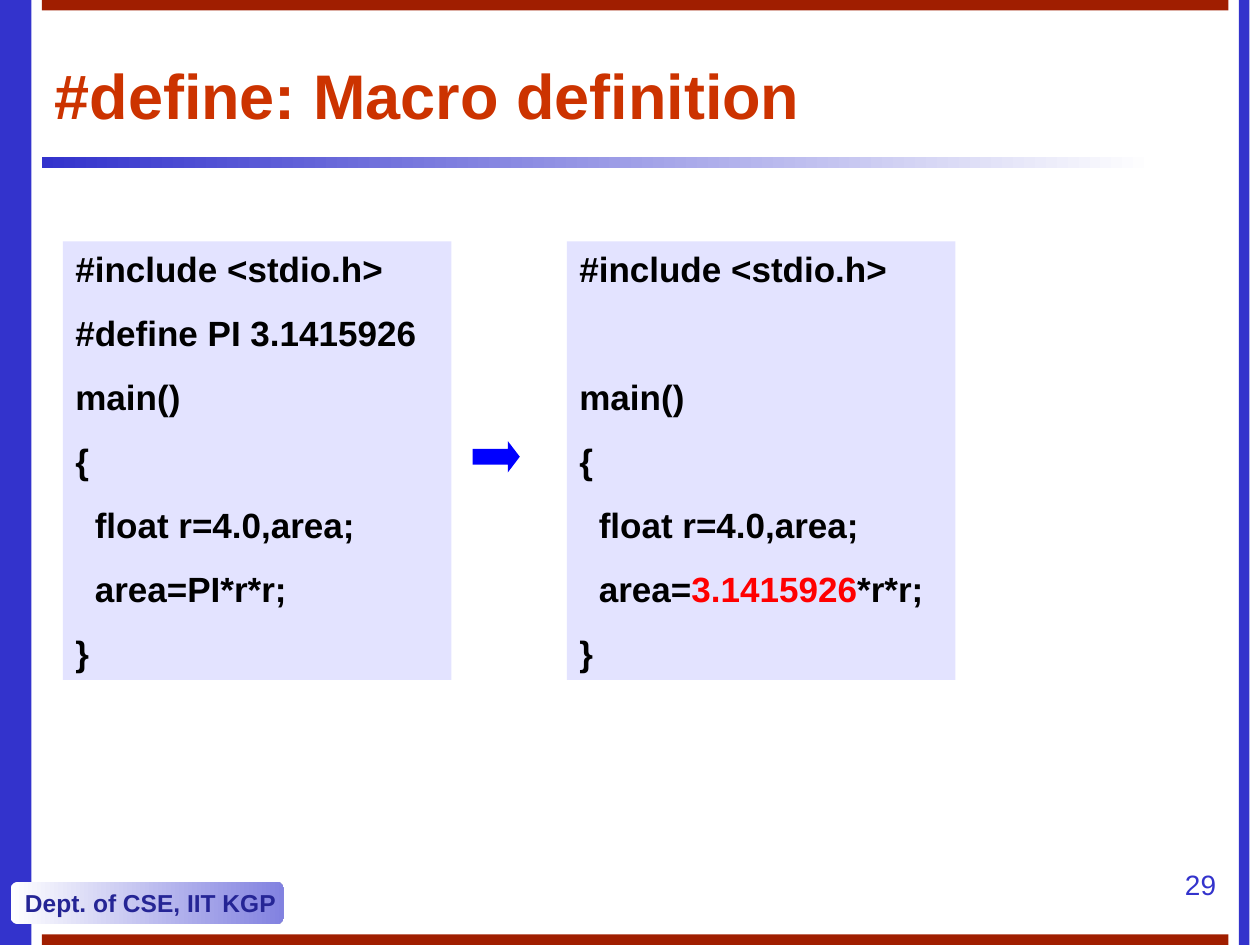
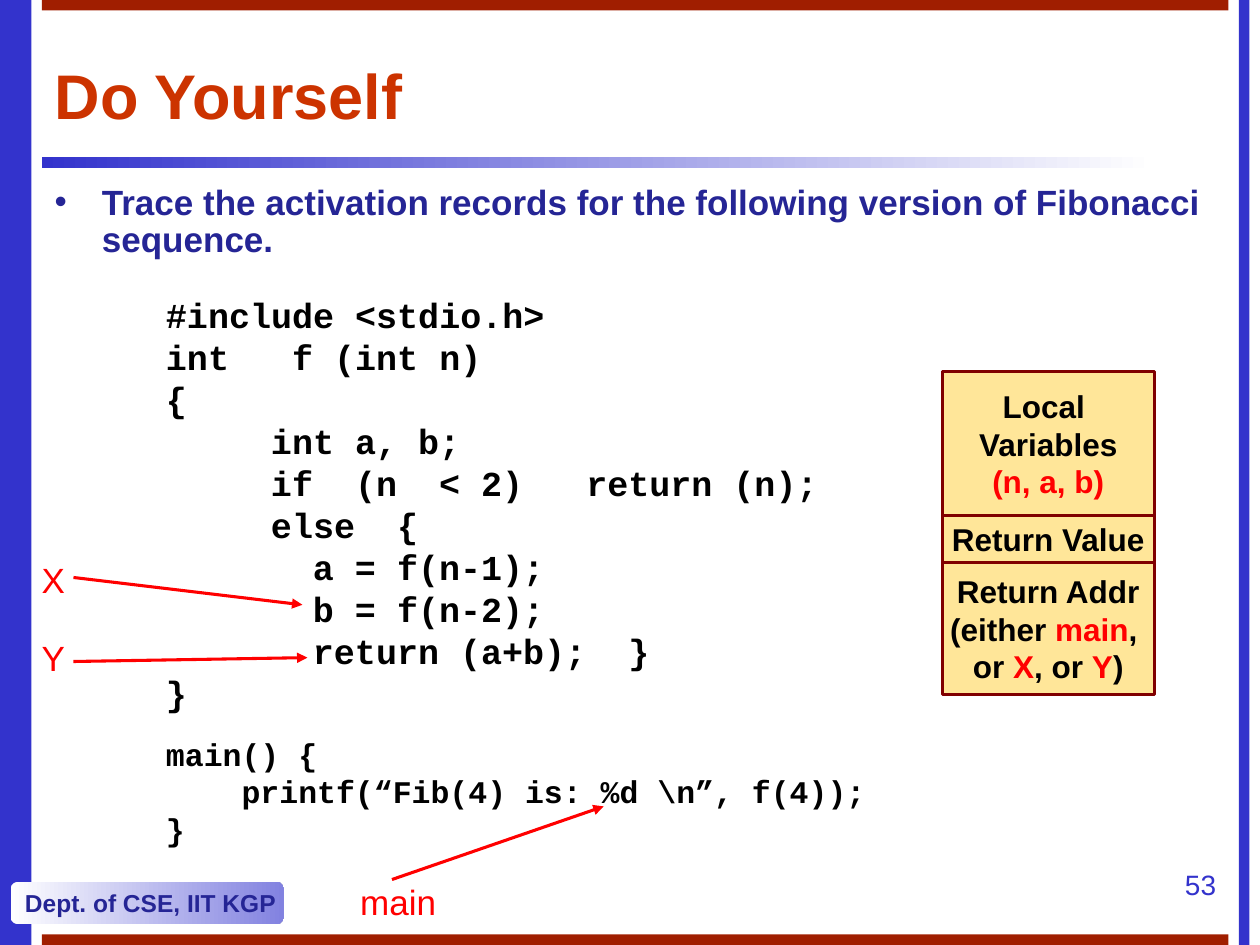
from dataclasses import dataclass

from lxml import etree
from pptx import Presentation
from pptx.dml.color import RGBColor
from pptx.enum import shapes, text
from pptx.oxml import ns
from pptx.util import Pt

BLUE, NAVY, PALE_BLUE, LILAC = "3333CC", "252595", "8282E0", "E3E3FF"
BRICK, ORANGE, MAROON, SAND = "A01E00", "CC3300", "800000", "FFE699"
BLACK, WHITE, RED, ARROW_BLUE = "000000", "FFFFFF", "FF0000", "0000FF"
SANS, MONO = "Arial", "Courier New"
WIDTH, HEIGHT, BAND = 720, 540, 6
LEFT, CONTENT_WIDTH = 24, 678
RECT = shapes.MSO_SHAPE.RECTANGLE
CENTER, RIGHT = text.PP_ALIGN.CENTER, text.PP_ALIGN.RIGHT
MIDDLE, TOP = text.MSO_ANCHOR.MIDDLE, text.MSO_ANCHOR.TOP


@dataclass
class Style:
    size: float
    color: str = BLACK
    bold: bool = True
    font: str = SANS


@dataclass
class Line:
    runs: list
    indent: float = 0
    before: float = 0
    style: Style = None


def rgb(color):
    return RGBColor.from_string(color)


def write(frame, lines, style, align=None, anchor=TOP, wrap=True):
    frame.word_wrap = wrap
    frame.auto_size = text.MSO_AUTO_SIZE.NONE
    frame.vertical_anchor = anchor
    for number, line in enumerate(lines):
        paragraph = frame.paragraphs[0] if number == 0 else frame.add_paragraph()
        paragraph.alignment = align
        if line.before:
            paragraph.space_before = Pt(line.before)
        if line.indent:
            paragraph._p.get_or_add_pPr().set("marL", str(Pt(line.indent)))
        look = line.style or style
        for words, color in line.runs:
            run = paragraph.add_run()
            run.text = words
            run.font.name = look.font
            run.font.size = Pt(look.size)
            run.font.bold = look.bold
            run.font.color.rgb = rgb(color or look.color)


def plain(words, indent=0, before=0, style=None):
    return Line([(words, None)], indent, before, style)


def add_panel(slide, box, fill, kind=RECT, border=None):
    panel = slide.shapes.add_shape(kind, *map(Pt, box))
    panel.shadow.inherit = False
    if isinstance(fill, tuple):
        panel.fill.gradient()
        panel.fill.gradient_angle = 0
        for stop, color in zip(panel.fill.gradient_stops, fill):
            stop.color.rgb = rgb(color)
    else:
        panel.fill.solid()
        panel.fill.fore_color.rgb = rgb(fill)
    if border:
        panel.line.color.rgb = rgb(border)
        panel.line.width = Pt(1.75)
    else:
        panel.line.fill.background()
    return panel


def add_label(slide, box, lines, style, align=None):
    label = slide.shapes.add_textbox(*map(Pt, box))
    write(label.text_frame, lines, style, align)


def add_pointer(slide, start, end):
    pointer = slide.shapes.add_connector(
        shapes.MSO_CONNECTOR.STRAIGHT, *map(Pt, start + end))
    pointer.line.color.rgb = rgb(RED)
    pointer.line.width = Pt(1.75)
    etree.SubElement(pointer.line._get_or_add_ln(), ns.qn("a:tailEnd"), type="triangle")
    etree.SubElement(pointer._element.spPr, ns.qn("a:effectLst"))


def fill_placeholder(placeholder, box, words, style, anchor):
    placeholder.left, placeholder.top, placeholder.width, placeholder.height = map(Pt, box)
    write(placeholder.text_frame, [plain(words)], style, text.PP_ALIGN.LEFT, anchor)
    return placeholder.text_frame.paragraphs[0]


def start_slide(deck, layout, title, number):
    slide = deck.slides.add_slide(deck.slide_layouts[layout])
    add_panel(slide, (0, 0, 18, HEIGHT), BLUE)
    add_panel(slide, (708, 0, BAND, HEIGHT), BLUE)
    for top in (0, HEIGHT - BAND):
        add_panel(slide, (LEFT, top, CONTENT_WIDTH, BAND), BRICK)
    add_panel(slide, (LEFT, 90, 636, BAND), (BLUE, WHITE))
    department = add_panel(slide, (6, 504, 156, 24), (WHITE, PALE_BLUE),
                           shapes.MSO_SHAPE.ROUNDED_RECTANGLE)
    write(department.text_frame, [plain("Dept. of CSE, IIT KGP")], Style(14, NAVY),
          text.PP_ALIGN.LEFT, MIDDLE, False)
    add_label(slide, (660, 492, 42, 36), [plain(number)], Style(16, BLUE, False), RIGHT)
    fill_placeholder(slide.shapes.title, (LEFT, 24, CONTENT_WIDTH, 60), title,
                     Style(36, ORANGE), MIDDLE)
    return slide


def add_listing(slide, left, lines):
    listing = add_panel(slide, (left, 138, 222, 250.5), LILAC)
    write(listing.text_frame, lines, Style(20), text.PP_ALIGN.LEFT)


def build_macro_slide(deck):
    slide = start_slide(deck, 5, "#define: Macro definition", "29")
    gap, step = 12.5, 11.1
    include = plain("#include <stdio.h>", before=gap)
    opening = plain("{", before=gap)
    declaration = plain("float r=4.0,area;", step, gap)
    closing = plain("}", before=gap)
    add_listing(slide, 36, [
        include, plain("#define PI 3.1415926", before=gap), plain("main()", before=gap),
        opening, declaration, plain("area=PI*r*r;", step, gap), closing])
    expanded = Line([("area=", None), ("3.1415926", RED), ("*r*r;", None)], step, gap)
    add_listing(slide, 324, [
        include, plain("main()", before=2 * gap + 24),
        opening, declaration, expanded, closing])
    arrow = add_panel(slide, (270, 252, 27, 18), ARROW_BLUE, shapes.MSO_SHAPE.RIGHT_ARROW)
    arrow.adjustments[1] = 0.38


def add_activation_record(slide):
    fields = [
        (82, [plain("Local "), plain("Variables"), Line([("(n, a, b)", RED)])]),
        (27, [plain("Return Value")]),
        (75.5, [plain("Return Addr"),
                Line([("(either ", None), ("main", RED), (", ", None)]),
                Line([("or ", None), ("X", RED), (", or ", None), ("Y", RED), (")", None)])]),
    ]
    top = 212.4
    for height, lines in fields:
        field = add_panel(slide, (538.5, top, 121, height), SAND, border=MAROON)
        write(field.text_frame, lines, Style(18), CENTER, MIDDLE, False)
        top += height


def build_trace_slide(deck):
    slide = start_slide(deck, 1, "Do Yourself", "53")
    task = fill_placeholder(
        slide.placeholders[1], (LEFT, 102, CONTENT_WIDTH, 66),
        "Trace the activation records for the following version of Fibonacci sequence.",
        Style(20, NAVY), TOP)
    task.line_spacing = 0.9
    task.space_before = Pt(5)

    code, small = Style(20, font=MONO), Style(18, font=MONO)
    body, nested = 60, 84
    add_label(slide, (87.8, 164.2, 420.5, 324), [
        plain("#include <stdio.h>"),
        plain("int   f (int n)"),
        plain("{"),
        plain("int a, b;", body),
        plain("if  (n  < 2)   return (n);", body),
        plain("else  {", body),
        plain("a = f(n-1);", nested),
        plain("b = f(n-2);", nested),
        plain("return (a+b);  }", nested),
        plain("}"),
        plain("main() {", before=12, style=small),
        plain("printf(“Fib(4) is: %d \\n”, f(4));", 43.2, style=small),
        plain("}", style=small),
    ], code)
    add_activation_record(slide)

    callouts = [
        ("X", (16.7, 315.4, 31.5, 31.5), (42, 330), (172.8, 345.6)),
        ("Y", (16.7, 360, 31.5, 31.5), (42, 378), (175.7, 375.8)),
        ("main", (198.7, 499.7, 60.5, 31.5), (224, 502.6), (345, 460.8)),
    ]
    for name, box, start, end in callouts:
        add_label(slide, box, [plain(name)], Style(20, RED, False))
        add_pointer(slide, start, end)


def main():
    deck = Presentation()
    deck.slide_width, deck.slide_height = Pt(WIDTH), Pt(HEIGHT)
    build_macro_slide(deck)
    build_trace_slide(deck)
    deck.save("out.pptx")


if __name__ == "__main__":
    main()
